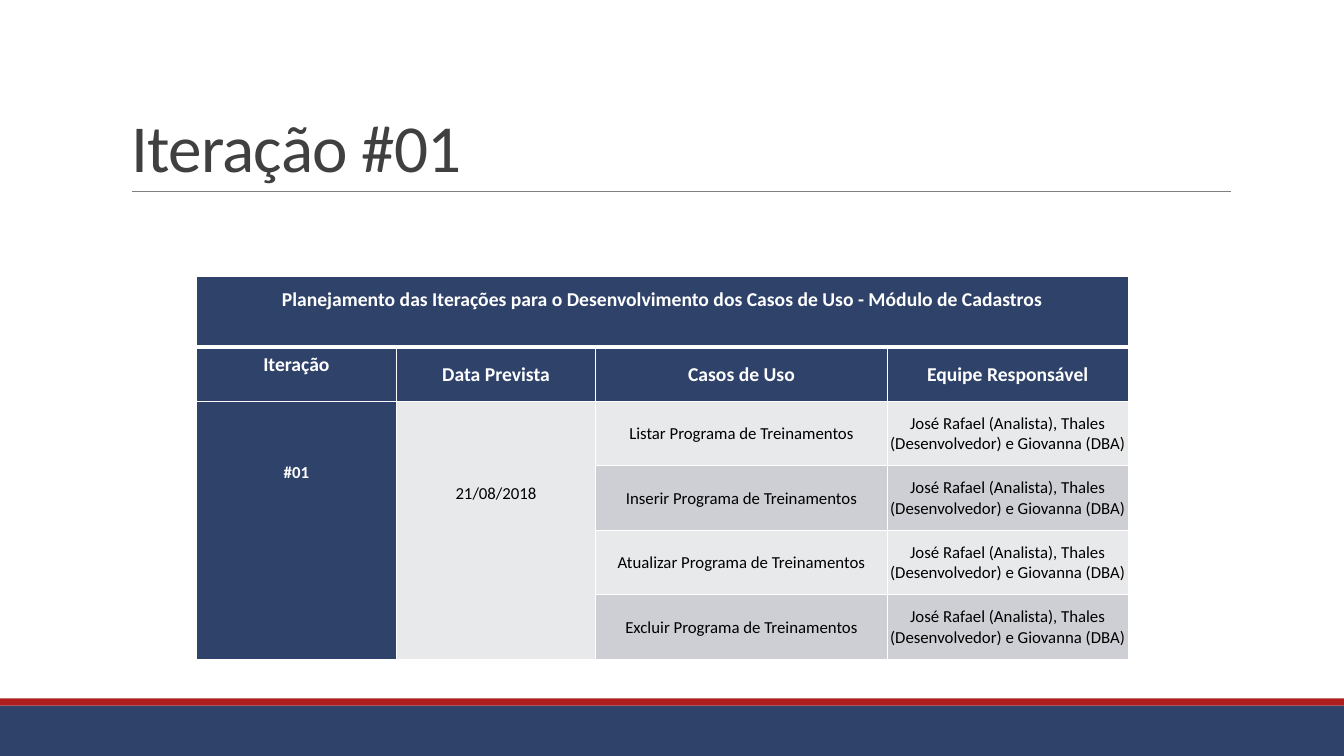
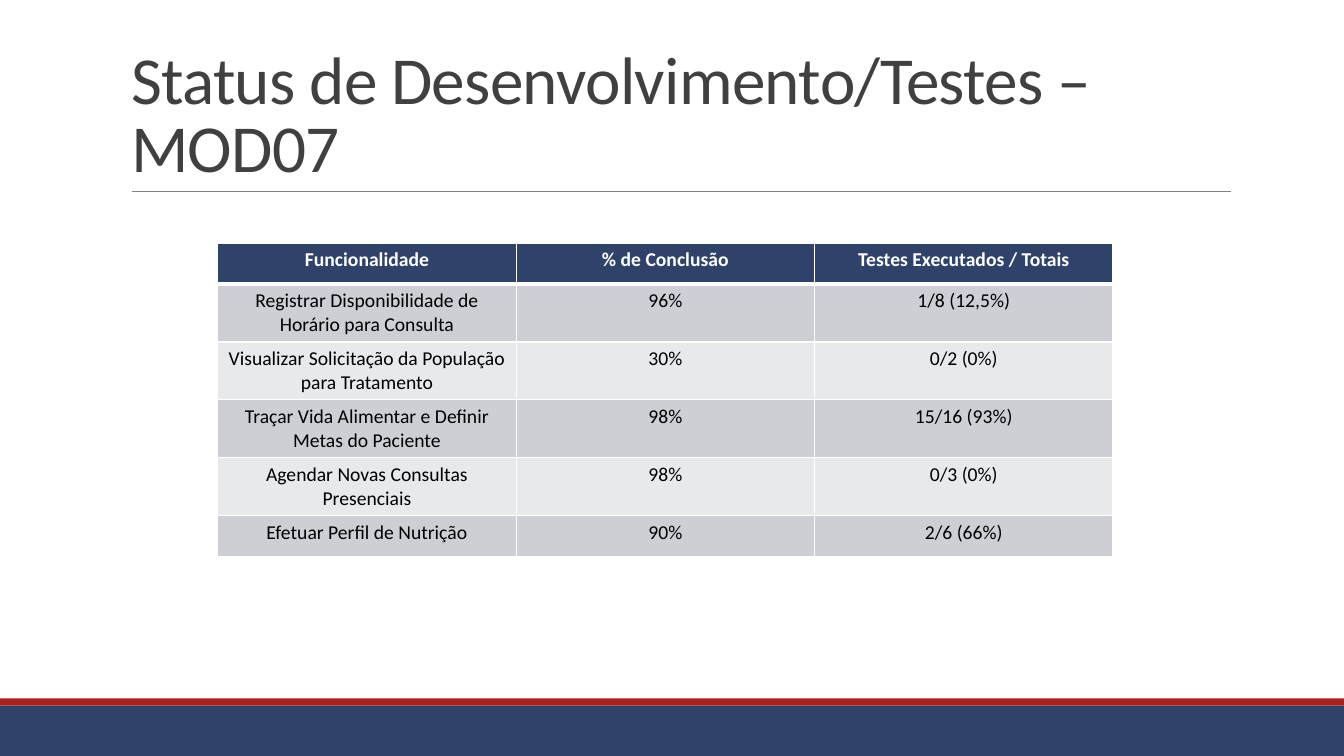
import dataclasses

import lxml.etree
import pptx
import pptx.dml.color
import pptx.enum.shapes
import pptx.enum.text
import pptx.oxml.ns
import pptx.util

Inches = pptx.util.Inches
Pt = pptx.util.Pt
qn = pptx.oxml.ns.qn
Anchor = pptx.enum.text.MSO_ANCHOR
rgb = pptx.dml.color.RGBColor.from_string


@dataclasses.dataclass(frozen=True)
class Theme:
    font: str = "Calibri"
    navy: str = "2F426A"
    red: str = "AD1F1F"
    rule: str = "808080"
    title: str = "404040"
    white: str = "FFFFFF"
    black: str = "000000"
    bands: tuple = ("E8E9EB", "CDCFD4")  # even rows, odd rows
    title_size: int = 48
    header_size: int = 14
    small_size: int = 12


theme = Theme()
deck = pptx.Presentation()
deck.slide_width = Inches(13.33)
deck.slide_height = Inches(7.5)


def add_page(title_text):
    """Add a slide with the shared bands, rule and title."""
    page = deck.slides.add_slide(deck.slide_layouts[5])

    # Footer bands
    for top, height, color in ((7, 0.5, theme.navy), (6.93, 0.07, theme.red)):
        band = page.shapes.add_shape(
            pptx.enum.shapes.MSO_SHAPE.RECTANGLE,
            0, Inches(top), deck.slide_width, Inches(height))
        band.shadow.inherit = False
        band.fill.solid()
        band.fill.fore_color.rgb = rgb(color)
        band.line.fill.background()

    # Rule under the title
    rule = page.shapes.add_connector(
        pptx.enum.shapes.MSO_CONNECTOR.STRAIGHT,
        Inches(1.31), Inches(1.9), Inches(12.21), Inches(1.9))
    rule.line.color.rgb = rgb(theme.rule)
    rule.line.width = Pt(0.5)
    lxml.etree.SubElement(rule._element.spPr, qn("a:effectLst"))

    # Title
    title = page.shapes.title
    title.left, title.top = Inches(1.2), Inches(0.31)
    title.width, title.height = Inches(11), Inches(1.59)
    frame = title.text_frame
    frame.text = title_text
    frame.word_wrap = True
    frame.auto_size = pptx.enum.text.MSO_AUTO_SIZE.NONE
    frame.vertical_anchor = Anchor.BOTTOM
    para = frame.paragraphs[0]
    para.alignment = pptx.enum.text.PP_ALIGN.LEFT
    para.line_spacing = 0.85
    para.font.name = theme.font
    para.font.size = Pt(theme.title_size)
    para.font.color.rgb = rgb(theme.title)
    para.runs[0].font._element.set("spc", "-50")
    return page


def add_grid(page, left, top, widths, heights, rows, header_rows, body_size):
    """Add a table with navy header rows, banded body rows and white borders."""
    table = page.shapes.add_table(
        len(rows), len(widths), Inches(left), Inches(top),
        Inches(sum(widths)), Inches(sum(heights))).table
    table.first_row = table.horz_banding = False
    for column, width in zip(table.columns, widths):
        column.width = Inches(width)
    for row, height in zip(table.rows, heights):
        row.height = Inches(height)

    for i, texts in enumerate(rows):
        is_header = i < header_rows
        for j, text in enumerate(texts):
            cell = table.cell(i, j)
            cell.text = text
            para = cell.text_frame.paragraphs[0]
            para.alignment = pptx.enum.text.PP_ALIGN.CENTER
            para.font.name = theme.font
            para.font.size = Pt(theme.header_size if is_header else body_size)
            para.font.bold = is_header
            para.font.color.rgb = rgb(theme.white if is_header else theme.black)

            # The edge below the first row is thicker
            properties = cell._tc.get_or_add_tcPr()
            for side in "LRTB":
                thick = (i, side) in ((0, "B"), (1, "T"))
                edge = lxml.etree.SubElement(
                    properties, qn(f"a:ln{side}"), w=str(Pt(3 if thick else 1)))
                paint = lxml.etree.SubElement(edge, qn("a:solidFill"))
                lxml.etree.SubElement(paint, qn("a:srgbClr"), val=theme.white)
            cell.fill.solid()
            cell.fill.fore_color.rgb = rgb(
                theme.navy if is_header else theme.bands[i % 2])
    return table


# Slide 1: iteration plan
page = add_page("Iteração #01")
team = "José Rafael (Analista), Thales (Desenvolvedor) e Giovanna (DBA)"
actions = ("Listar", "Inserir", "Atualizar", "Excluir")
plan_rows = [
    ("Planejamento das Iterações para o Desenvolvimento dos Casos de Uso"
     " - Módulo de Cadastros", "", "", ""),
    ("Iteração", "Data Prevista", "Casos de Uso", "Equipe Responsável"),
]
for i, action in enumerate(actions):
    first = ("#01", "21/08/2018") if i == 0 else ("", "")
    plan_rows.append((*first, f"{action} Programa de Treinamentos", team))
plan = add_grid(page, 1.95, 2.74, (1.98, 1.98, 2.89, 2.39),
                (0.7, 0.54) + (0.64,) * len(actions), plan_rows,
                header_rows=2, body_size=theme.small_size)
for cell in plan.iter_cells():
    cell.vertical_anchor = Anchor.MIDDLE
    cell.margin_left = cell.margin_right = cell.margin_top = Inches(0.01)
    cell.margin_bottom = 0

# Merged heading, iteration and date cells
heading, iteration, date = plan.cell(0, 0), plan.cell(2, 0), plan.cell(2, 1)
heading.merge(plan.cell(0, 3))
iteration.merge(plan.cell(5, 0))
date.merge(plan.cell(5, 1))
heading.text_frame.paragraphs[0].line_spacing = 1.5
for cell, inset in ((heading, 0), (plan.cell(1, 0), 0.06),
                    (iteration, 0.61), (date, 0.82)):
    cell.vertical_anchor = Anchor.TOP
    cell.margin_top = Inches(inset)
iteration.fill.fore_color.rgb = rgb(theme.navy)
iteration_font = iteration.text_frame.paragraphs[0].font
iteration_font.bold = True
iteration_font.color.rgb = rgb(theme.white)

# Slide 2: development and test status
page = add_page("Status de Desenvolvimento/Testes – MOD07")
status_rows = [
    ("Funcionalidade", "% de Conclusão", "Testes Executados / Totais"),
    ("Registrar Disponibilidade de Horário para Consulta", "96%", "1/8 (12,5%)"),
    ("Visualizar Solicitação da População para Tratamento", "30%", "0/2 (0%)"),
    ("Traçar Vida Alimentar e Definir Metas do Paciente", "98%", "15/16 (93%)"),
    ("Agendar Novas Consultas Presenciais", "98%", "0/3 (0%)"),
    ("Efetuar Perfil de Nutrição", "90%", "2/6 (66%)"),
]
add_grid(page, 2.16, 2.41, (2.96,) * 3, (0.41,) + (0.57,) * 4 + (0.41,),
         status_rows, header_rows=1, body_size=theme.header_size)

deck.save("out.pptx")
